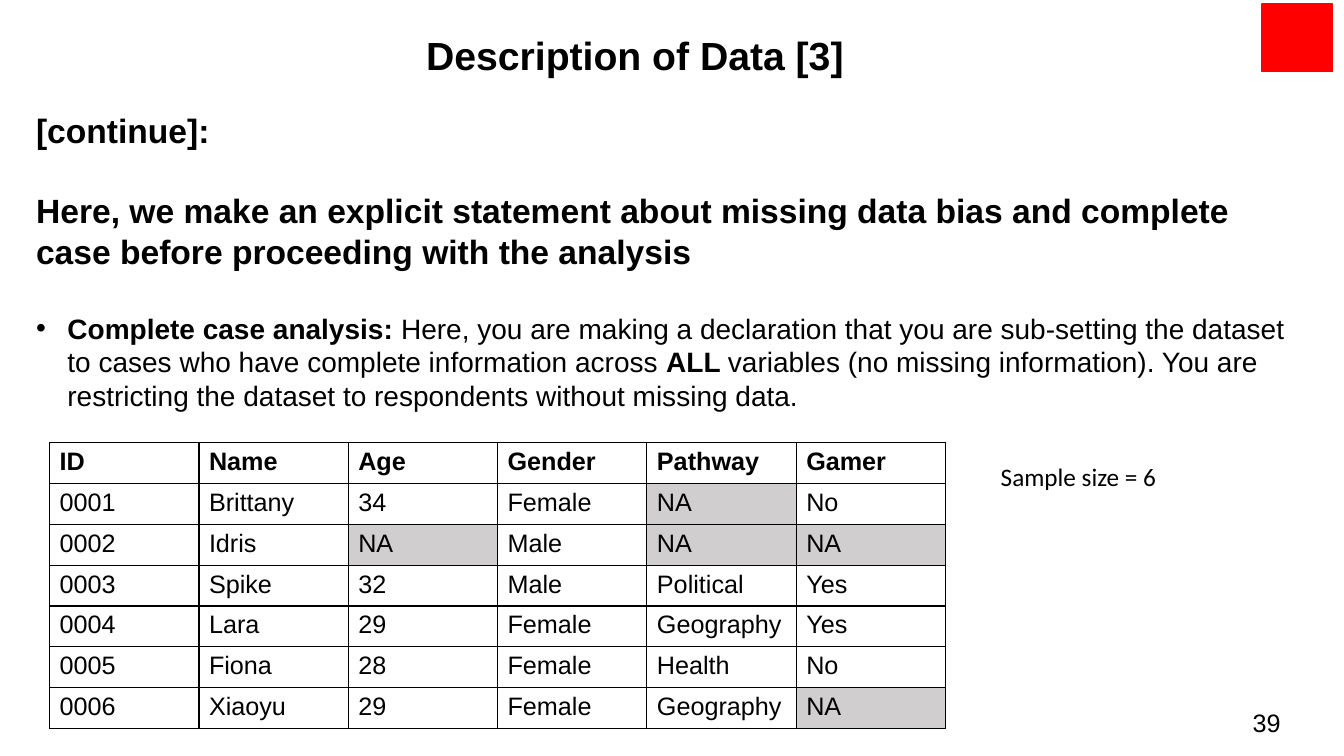
from dataclasses import dataclass

from lxml.etree import SubElement
from pptx import Presentation
from pptx.dml.color import RGBColor
from pptx.enum.shapes import MSO_SHAPE as Shape
from pptx.enum.text import MSO_ANCHOR as Anchor, MSO_AUTO_SIZE as AutoSize, PP_ALIGN as Align
from pptx.oxml.ns import qn
from pptx.util import Cm, Pt


@dataclass(frozen=True)
class Theme:
    black: RGBColor = RGBColor(0, 0, 0)
    white: RGBColor = RGBColor(255, 255, 255)
    red: RGBColor = RGBColor(255, 0, 0)
    grey: RGBColor = RGBColor(0xD0, 0xCE, 0xCE)
    font: str = "Arial"
    note_font: str = "Calibri"
    title: int = 28
    heading: int = 24
    bullet: int = 20
    small: int = 18


@dataclass(frozen=True)
class Box:
    left: float
    top: float
    width: float
    height: float

    def lengths(self) -> tuple:
        return Cm(self.left), Cm(self.top), Cm(self.width), Cm(self.height)


@dataclass(frozen=True)
class Run:
    text: str
    size: int
    bold: bool = False
    font: str = Theme.font


@dataclass(frozen=True)
class Para:
    runs: tuple[Run, ...]
    before: float = 0
    bulleted: bool = False


@dataclass(frozen=True)
class TextItem:
    box: Box
    paras: tuple[Para, ...]


T = Theme()
TITLE_BOX = Box(0.2, 0.74, 31.6, 1.42)
MARKER_BOX = Box(31.8, 0.1, 1.78, 1.7)
TABLE_BOX = Box(1.25, 11.15, 22.58, 7.21)
MISSING = "NA"

TEXTS = (
    TextItem(Box(0.66, 2.64, 32.56, 7.95), (
        Para((Run("[continue]:", T.heading, True),)),
        Para((Run("Here, we make an explicit statement about missing data bias and complete "
                  "case before proceeding with the analysis", T.heading, True),), before=28.8),
        Para((
            Run("Complete case analysis:", T.bullet, True),
            Run(" Here, you are making a declaration that you are sub-setting the dataset "
                "to cases who have complete information across ", T.bullet),
            Run("ALL ", T.bullet, True),
            Run("variables (no missing information). You are restricting the dataset to "
                "respondents without missing data.", T.bullet),
        ), before=28.8, bulleted=True),
    )),
    TextItem(Box(24.97, 11.51, 8.03, 1.02),
             (Para((Run("Sample size = 6", T.small, font=T.note_font),)),)),
    TextItem(Box(31.32, 17.7, 1.5, 0.41), (Para((Run("39", T.small),)),)),
)

ROWS = (
    ("ID", "Name", "Age", "Gender", "Pathway", "Gamer"),
    ("0001", "Brittany", "34", "Female", MISSING, "No"),
    ("0002", "Idris", MISSING, "Male", MISSING, MISSING),
    ("0003", "Spike", "32", "Male", "Political", "Yes"),
    ("0004", "Lara", "29", "Female", "Geography", "Yes"),
    ("0005", "Fiona", "28", "Female", "Health", "No"),
    ("0006", "Xiaoyu", "29", "Female", "Geography", MISSING),
)


def add_run(p, run: Run) -> None:
    r = p.add_run()
    r.text = run.text
    r.font.name = run.font
    r.font.size = Pt(run.size)
    r.font.bold = run.bold
    r.font.color.rgb = T.black


def set_bullet(p) -> None:
    pPr = p._p.get_or_add_pPr()
    pPr.set("marL", str(Cm(0.79)))
    pPr.set("indent", str(-Cm(0.79)))
    SubElement(pPr, qn("a:buFont"), typeface=T.font)
    SubElement(pPr, qn("a:buChar"), char="•")


def add_text(s, item: TextItem) -> None:
    tf = s.shapes.add_textbox(*item.box.lengths()).text_frame
    tf.word_wrap = True
    for i, para in enumerate(item.paras):
        p = tf.add_paragraph() if i else tf.paragraphs[0]
        if para.before:
            p.space_before = Pt(para.before)
        if para.bulleted:
            set_bullet(p)
        for run in para.runs:
            add_run(p, run)


def add_title(s, text: str) -> None:
    sp = s.shapes.title
    sp.left, sp.top, sp.width, sp.height = TITLE_BOX.lengths()
    tf = sp.text_frame
    tf.word_wrap = True
    tf.auto_size = AutoSize.NONE
    tf.vertical_anchor = Anchor.MIDDLE
    p = tf.paragraphs[0]
    p.alignment = Align.CENTER
    p.line_spacing = 0.9
    add_run(p, Run(text, T.title, True))


def add_marker(s) -> None:
    sp = s.shapes.add_shape(Shape.RECTANGLE, *MARKER_BOX.lengths())
    sp.shadow.inherit = False
    sp.fill.solid()
    sp.fill.fore_color.rgb = T.red
    sp.line.color.rgb = T.red
    sp.line.width = Pt(1)


def set_borders(cell) -> None:
    tcPr = cell._tc.get_or_add_tcPr()
    for i, side in enumerate(("lnL", "lnR", "lnT", "lnB")):
        ln = tcPr.makeelement(qn(f"a:{side}"), {"w": str(Pt(1))})
        fill = SubElement(ln, qn("a:solidFill"))
        SubElement(fill, qn("a:srgbClr"), val=str(T.black))
        tcPr.insert(i, ln)  # borders come before the cell fill


def add_data_table(s) -> None:
    n_rows, n_cols = len(ROWS), len(ROWS[0])
    table = s.shapes.add_table(n_rows, n_cols, *TABLE_BOX.lengths()).table
    table.horz_banding = False
    for col in table.columns:
        col.width = Cm(TABLE_BOX.width / n_cols)
    for i, values in enumerate(ROWS):
        table.rows[i].height = Cm(TABLE_BOX.height / n_rows)
        for j, value in enumerate(values):
            cell = table.cell(i, j)
            cell.fill.solid()
            cell.fill.fore_color.rgb = T.grey if value == MISSING else T.white
            set_borders(cell)
            add_run(cell.text_frame.paragraphs[0], Run(value, T.small, bold=i == 0))


def main() -> None:
    prs = Presentation()
    prs.slide_width, prs.slide_height = Cm(33.87), Cm(19.05)
    s = prs.slides.add_slide(prs.slide_layouts[5])

    # Heading and corner marker
    add_title(s, "Description of Data [3]")
    add_marker(s)

    # Body text, sample size and page number
    for item in TEXTS:
        add_text(s, item)

    # Cases with missing values shaded
    add_data_table(s)

    prs.save("out.pptx")


if __name__ == "__main__":
    main()
